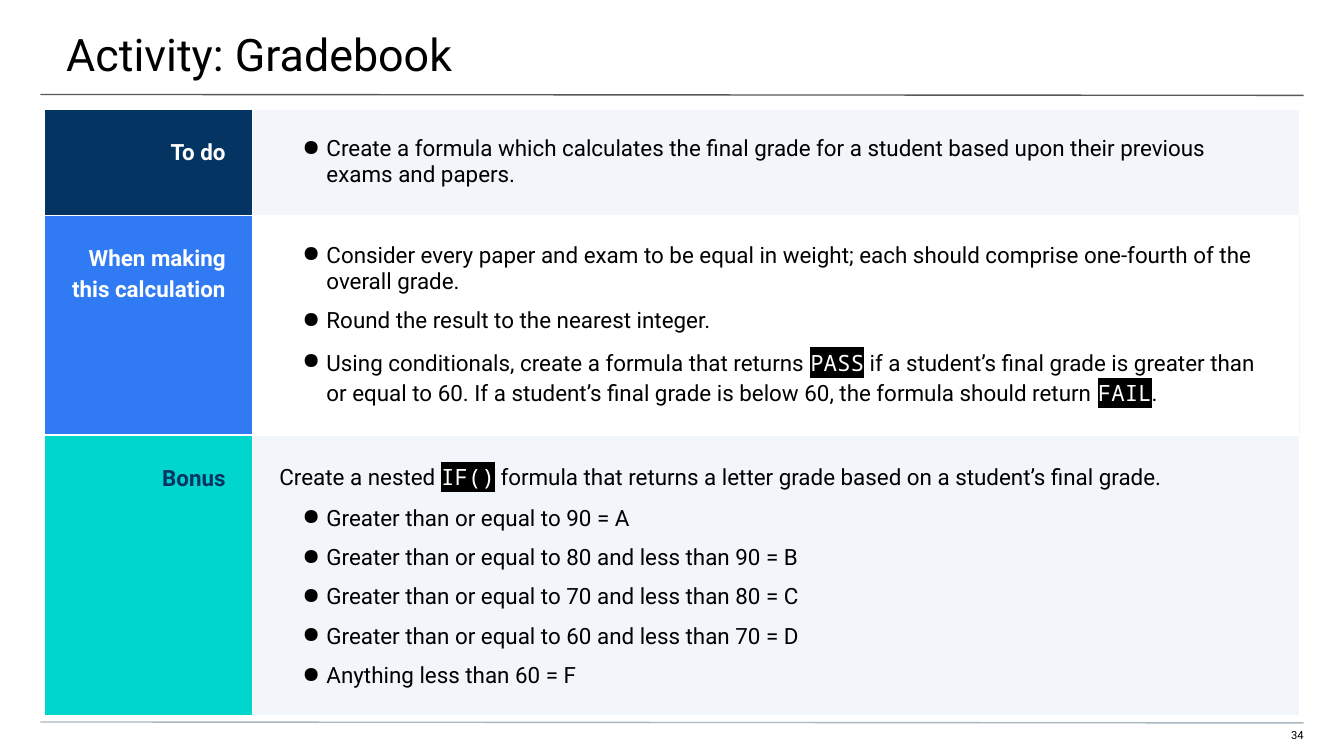
"""Build the gradebook activity slide with its instruction table."""
from lxml import etree
from pptx import Presentation
from pptx.dml.color import RGBColor
from pptx.enum.shapes import MSO_CONNECTOR
from pptx.enum.text import MSO_ANCHOR, MSO_AUTO_SIZE, PP_ALIGN
from pptx.oxml.ns import qn
from pptx.util import Pt

STRAIGHT = MSO_CONNECTOR.STRAIGHT
TOP = MSO_ANCHOR.TOP
NO_AUTOFIT = MSO_AUTO_SIZE.NONE
LEFT, RIGHT = PP_ALIGN.LEFT, PP_ALIGN.RIGHT

THEME = {
    "font": "Roboto",
    "code_font": "Noto Sans Mono",
    "black": "000000",
    "white": "FFFFFF",
    "navy": "043461",
    "blue": "307BF3",
    "teal": "00D6CB",
    "pale": "F2F5F9",
    "title_rule": "595959",
    "footer_rule": "A9B7C0",
    "title_size": Pt(24),
    "body_size": Pt(12),
    "number_size": Pt(6),
}


def add_color(parent, tag, color):
    element = etree.SubElement(parent, qn(tag))
    etree.SubElement(element, qn("a:srgbClr"), val=THEME[color])
    return element


def write_paragraph(paragraph, text, size, color="black", bold=False, bullet=False, **formats):
    if bullet:
        properties = paragraph._p.get_or_add_pPr()
        properties.set("marL", str(Pt(25.2)))
        properties.set("indent", str(Pt(-12.96)))
        add_color(properties, "a:buClr", "black")
        etree.SubElement(properties, qn("a:buChar"), char="●")
    for name, value in formats.items():
        setattr(paragraph, name, value)
    for index, part in enumerate(text.split("`")):
        is_code = index % 2 == 1
        run = paragraph.add_run()
        run.text = part
        run.font.color.rgb = RGBColor.from_string(THEME["white" if is_code else color])
        if is_code:
            add_color(run._r.get_or_add_rPr(), "a:highlight", "black")
        font_values = {
            "name": THEME["code_font" if is_code else "font"],
            "size": THEME[size],
            "bold": bold,
        }
        for name, value in font_values.items():
            setattr(run.font, name, value)


presentation = Presentation()
presentation.slide_width = Pt(720)
presentation.slide_height = Pt(405)
slide = presentation.slides.add_slide(presentation.slide_layouts[5])

title = slide.shapes.title
number_box = slide.shapes.add_textbox(0, 0, 0, 0)
text_boxes = [
    (title, (-0.5, 0, 722, 42), (36, 14.4, 21.6, 7.2), "Activity: Gradebook", "title_size", LEFT),
    (number_box, (677.5, 390.2, 20.9, 8.6), (0, 0, 0, 7.2), "34", "number_size", RIGHT),
]
for shape, place, insets, text, size, alignment in text_boxes:
    for name, value in zip(("left", "top", "width", "height"), place):
        setattr(shape, name, Pt(value))
    frame = shape.text_frame
    for side, value in zip(("left", "top", "right", "bottom"), insets):
        setattr(frame, f"margin_{side}", Pt(value))
    frame_values = {"word_wrap": True, "auto_size": NO_AUTOFIT, "vertical_anchor": TOP}
    for name, value in frame_values.items():
        setattr(frame, name, value)
    write_paragraph(frame.paragraphs[0], text, size, alignment=alignment)

for top, color in ((50.6, "title_rule"), (386.8, "footer_rule")):
    rule = slide.shapes.add_connector(STRAIGHT, Pt(21.6), Pt(top), Pt(698.4), Pt(top + 0.5))
    rule.line.color.rgb = RGBColor.from_string(THEME[color])
    rule.line.width = Pt(0.75)
    etree.SubElement(rule._element.spPr, qn("a:effectLst"))

sections = [
    ("To do", "white", "navy", "pale", 56.4, [
        "Create a formula which calculates the final grade for a student based upon their "
        "previous exams and papers.",
    ]),
    ("When making this calculation", "white", "blue", "white", 117.6, [
        "Consider every paper and exam to be equal in weight; each should comprise one-fourth "
        "of the overall grade.",
        "Round the result to the nearest integer.",
        "Using conditionals, create a formula that returns `PASS` if a student’s final grade is "
        "greater than or equal to 60. If a student’s final grade is below 60, the formula "
        "should return `FAIL`.",
    ]),
    ("Bonus", "navy", "teal", "pale", 150, [
        "Create a nested `IF()` formula that returns a letter grade based on a student’s "
        "final grade.",
        "Greater than or equal to 90 = A",
        "Greater than or equal to 80 and less than 90 = B",
        "Greater than or equal to 70 and less than 80 = C",
        "Greater than or equal to 60 and less than 70 = D",
        "Anything less than 60 = F",
    ]),
]

column_widths = (111.3, 560.9)
table_height = sum(section[4] for section in sections)
table = slide.shapes.add_table(
    len(sections), 2, Pt(24), Pt(58.4), Pt(sum(column_widths)), Pt(table_height)
).table
table.first_row = False
table.horz_banding = False
for column, width in zip(table.columns, column_widths):
    column.width = Pt(width)

for row_index, (label, label_color, label_fill, body_fill, height, lines) in enumerate(sections):
    table.rows[row_index].height = Pt(height)
    label_cell, body_cell = table.rows[row_index].cells
    for cell, fill in ((label_cell, label_fill), (body_cell, body_fill)):
        for side in ("left", "top", "right", "bottom"):
            setattr(cell, f"margin_{side}", Pt(14.4))
        cell.vertical_anchor = TOP
        for side in "LRTB":
            border_color = "pale" if side == "R" and fill == "white" else "white"
            border = add_color(cell._tc.get_or_add_tcPr(), f"a:ln{side}", border_color)
            border.set("w", str(Pt(0.75)))
            color_fill = etree.Element(qn("a:solidFill"))
            color_fill.append(border[0])
            border.append(color_fill)
        cell.fill.solid()
        cell.fill.fore_color.rgb = RGBColor.from_string(THEME[fill])

    write_paragraph(
        label_cell.text_frame.paragraphs[0], label, "body_size", label_color, bold=True,
        alignment=RIGHT, line_spacing=1.15,
    )
    frame = body_cell.text_frame
    for index, line in enumerate(lines):
        paragraph = frame.add_paragraph() if index else frame.paragraphs[0]
        write_paragraph(
            paragraph, line, "body_size", bullet=not line.startswith("Create a nested"),
            space_before=Pt(7 if index else 0),
            space_after=Pt(7 if index == len(lines) - 1 else 0),
        )

presentation.save("out.pptx")
